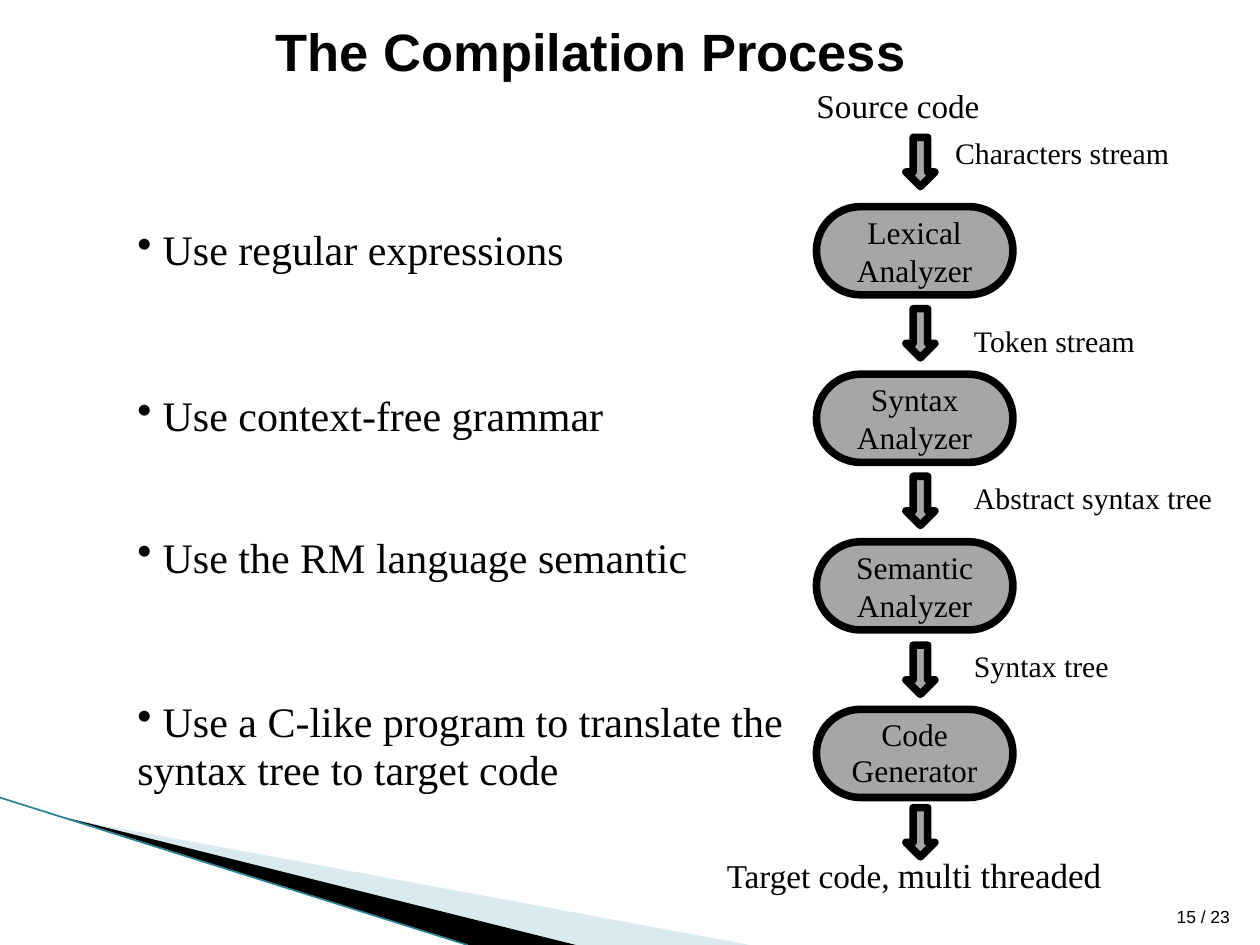
"""Builds a slide that shows the stages of a compiler as a vertical flow."""
from pptx import Presentation
from pptx import util as u
from pptx.dml.color import RGBColor
from pptx.enum import shapes, text
from pptx.oxml import parse_xml
from pptx.oxml.ns import nsdecls, qn

BLACK = RGBColor(0x00, 0x00, 0x00)
GREY = RGBColor(0xA6, 0xA6, 0xA6)
PALE_BLUE = RGBColor(0xA0, 0xCB, 0xDC)
TEAL = RGBColor(0x2A, 0x7F, 0x92)
SERIF, SANS = "Times New Roman", "Arial"
LEFT, CENTER, RIGHT = text.PP_ALIGN.LEFT, text.PP_ALIGN.CENTER, text.PP_ALIGN.RIGHT

TITLE = "The Compilation Process"
STAGES = ["Lexical Analyzer", "Syntax\vAnalyzer", "Semantic Analyzer", "Code Generator"]
STAGE_LEFT, STAGE_TOP, STAGE_PITCH = 6.48, 1.64, 1.33
STAGE_WIDTH, STAGE_HEIGHT = 1.56, 0.7
ARROW_LEFT, ARROW_WIDTH, ARROW_HEIGHT = 7.19, 0.23, 0.39
ARROW_TOPS = [1.09, 2.45, 3.78, 5.12, 6.41]
STREAMS = [
    ("Characters stream", 7.58, 1.09),
    ("Token stream", 7.73, 2.58),
    ("Abstract syntax tree", 7.73, 3.83),
    ("Syntax tree", 7.73, 5.16),
]
METHODS = [
    (" Use regular expressions", 1.8, 0.38, 0.95),
    (" Use context-free grammar", 3.12, 0.38, 0.95),
    (" Use the RM language semantic", 4.22, 0.4, 1),
    (" Use a C-like program to translate the syntax tree to target code", 5.55, 0.77, 0.95),
]
BANDS = [
    ([(0.55, 6.5), (5.95, 7.5), (4.56, 7.5)], PALE_BLUE, 40),
    ([(0.53, 6.49), (4.57, 7.5), (3.72, 7.5)], BLACK, 100),
]

deck = Presentation()
deck.slide_width, deck.slide_height = u.Inches(10), u.Inches(7.5)
page = deck.slides.add_slide(deck.slide_layouts[5])


def inches(*values):
    return [u.Inches(value) for value in values]


def write(shape, spans, align=LEFT, anchor=text.MSO_ANCHOR.TOP, font=SERIF,
          bold=False, spacing=0.95, inset=0):
    """Fill a shape with one paragraph of (words, size) spans."""
    frame = shape.text_frame
    frame.word_wrap, frame.vertical_anchor = True, anchor
    frame.auto_size = text.MSO_AUTO_SIZE.NONE
    frame.margin_left = frame.margin_right = u.Inches(inset)
    frame.margin_top = frame.margin_bottom = u.Inches(inset / 2)
    para = frame.paragraphs[0]
    para.text = spans[0][0]
    for words, _ in spans[1:]:
        para.add_run().text = words
    para.alignment, para.line_spacing = align, spacing
    para.space_before = u.Pt(0)
    sizes = [size for _, size in spans]
    for index, span in enumerate(para.runs):
        span.font.size = u.Pt(sizes[min(index, len(sizes) - 1)])
        span.font.name, span.font.bold = font, bold
        span.font.color.rgb = BLACK
    return para


def add_text(place, spans, **style):
    return write(page.shapes.add_textbox(*inches(*place)), spans, **style)


def add_outlined(kind, place):
    shape = page.shapes.add_shape(kind, *inches(*place))
    shape.shadow.inherit = False
    shape.fill.solid()
    shape.fill.fore_color.rgb = GREY
    shape.line.color.rgb = BLACK
    shape.line.width = u.Pt(4.33)
    shape.line._get_or_add_ln().append(parse_xml(f"<a:round {nsdecls('a')}/>"))
    return shape


for points, color, opacity in BANDS:
    corners = [inches(*point) for point in points]
    builder = page.shapes.build_freeform(*corners[0])
    builder.add_line_segments(corners[1:], close=True)
    band = builder.convert_to_shape()
    band.shadow.inherit = False
    band.line.fill.background()
    band.fill.solid()
    band.fill.fore_color.rgb = color
    if opacity < 100:
        tint = band.fill._xPr.find(".//" + qn("a:srgbClr"))
        tint.append(parse_xml(f'<a:alpha {nsdecls("a")} val="{opacity * 1000}"/>'))

edge = page.shapes.add_connector(shapes.MSO_CONNECTOR.STRAIGHT, *inches(0, 6.33, 3.71, 7.5))
edge.line.color.rgb = TEAL
edge.line.width = u.Pt(0.95)
edge._element.spPr.append(parse_xml(f"<a:effectLst {nsdecls('a')}/>"))

title = page.shapes.title
title.left, title.top, title.width, title.height = inches(2.19, 0.19, 5.55, 0.48)
write(title, [(TITLE, 30)], font=SANS, bold=True)

add_text((STAGE_LEFT, 0.7, 1.78, 0.3), [("Source code", 19)])
add_text((4.98, 6.8, 4.55, 0.61), [("Target code, ", 19), ("multi threaded", 20)], align=CENTER)
for words, left, top in STREAMS:
    add_text((left, top, 2.03, 0.27), [(words, 17)])

for words, top, height, spacing in METHODS:
    para = add_text((1.09, top, 5.2, height), [(words, 24)], spacing=spacing)
    para._p.get_or_add_pPr().append(parse_xml(f'<a:buChar {nsdecls("a")} char="•"/>'))

for row, words in enumerate(STAGES):
    place = (STAGE_LEFT, STAGE_TOP + row * STAGE_PITCH, STAGE_WIDTH, STAGE_HEIGHT)
    stage = add_outlined(shapes.MSO_SHAPE.ROUNDED_RECTANGLE, place)
    stage.adjustments[0] = 0.5
    write(stage, [(words, 18)], align=CENTER, anchor=text.MSO_ANCHOR.MIDDLE, inset=0.1,
          spacing=0.95 if row == len(STAGES) - 1 else 1)

for top in ARROW_TOPS:
    add_outlined(shapes.MSO_SHAPE.DOWN_ARROW, (ARROW_LEFT, top, ARROW_WIDTH, ARROW_HEIGHT))

add_text((8.91, 7.01, 0.95, 0.4), [("15 / 23", 10)], align=RIGHT,
         anchor=text.MSO_ANCHOR.BOTTOM, font=SANS, spacing=1, inset=0.1)

deck.save("out.pptx")
